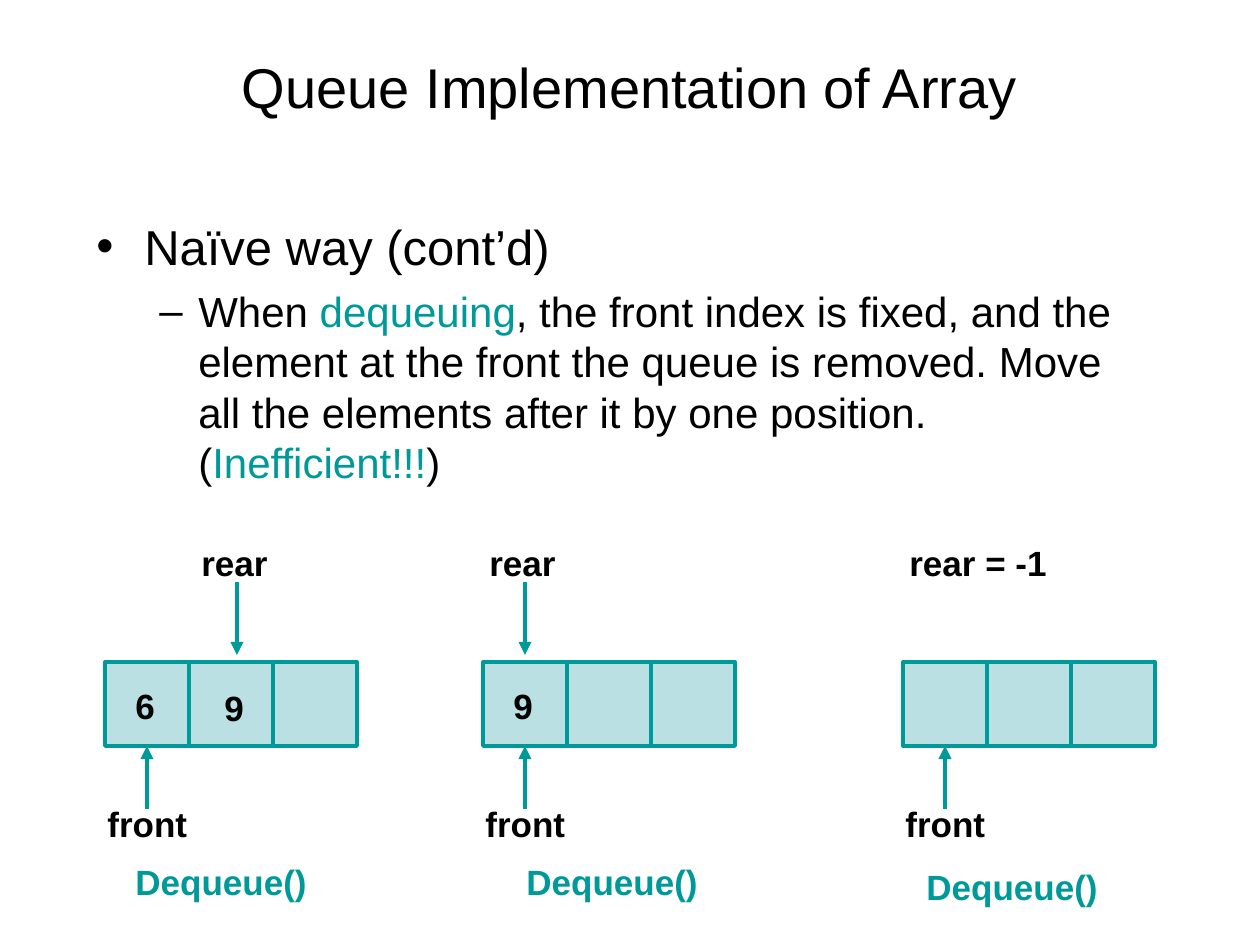
from lxml import etree
from pptx import Presentation
from pptx.dml.color import RGBColor
from pptx.enum.shapes import MSO_CONNECTOR, MSO_SHAPE
from pptx.enum.text import MSO_ANCHOR, MSO_AUTO_SIZE, PP_ALIGN
from pptx.oxml.ns import qn
from pptx.util import Pt

SCALE = 914400 / 126
RECT = MSO_SHAPE.RECTANGLE
LINE = MSO_CONNECTOR.STRAIGHT
GROW = MSO_AUTO_SIZE.SHAPE_TO_FIT_TEXT
FIXED = MSO_AUTO_SIZE.NONE
MIDDLE = MSO_ANCHOR.MIDDLE
CENTER = PP_ALIGN.CENTER
FONT, BLACK, TEAL, PALE = "Arial", "000000", "009999", "BBE0E3"
CELL, TOP = 84, 662
BODY = [
    ("•", 28, 7, 48, 48, [("Naïve way (cont’d)", BLACK)]),
    ("–", 24, 6, 102, 39, [
        ("When ", BLACK),
        ("dequeuing", TEAL),
        (", the front index is fixed, and the element at the front the queue "
         "is removed. Move all the elements after it by one position. (", BLACK),
        ("Inefficient!!!", TEAL),
        (")", BLACK),
    ]),
]
# left, rear mark, rear label, label width, digits, call place
QUEUES = [
    (105, 237, "rear", 136, [("6", 123, 678), ("9", 212, 680)], (123, 854)),
    (483, 525, "rear", 136, [("9", 501, 678)], (514, 854)),
    (903, 945, "rear = -1", 164, [], (914, 859)),
]


def px(num):
    """Turn pixels into EMU."""
    return round(num * SCALE)


def rgb(code):
    """Turn a hex string into a colour."""
    return RGBColor.from_string(code)


def put(item, **vals):
    """Set attributes from format values."""
    for name, val in vals.items():
        setattr(item, name, val)


def add_run(para, text, size, color, bold=False):
    """Add a formatted run to a paragraph."""
    run = para.add_run()
    run.text = text
    put(run.font, name=FONT, size=Pt(size), bold=bold)
    run.font.color.rgb = rgb(color)


def add_title(slide, text):
    """Place and fill the title."""
    title = slide.shapes.title
    put(title, left=px(63), top=px(38), width=px(1134), height=px(97))
    put(title.text_frame, vertical_anchor=MIDDLE, word_wrap=True, auto_size=FIXED)
    para = title.text_frame.paragraphs[0]
    para.alignment = CENTER
    add_run(para, text, 32, BLACK)


def add_bullet(para, mark, left, hang):
    """Give a paragraph its bullet and hanging indent."""
    props = para._p.get_or_add_pPr()
    props.set("marL", str(px(left)))
    props.set("indent", str(-px(hang)))
    tint = etree.SubElement(props, qn("a:buClr"))
    etree.SubElement(tint, qn("a:srgbClr"), val=BLACK)
    etree.SubElement(props, qn("a:buFont"), typeface=FONT)
    etree.SubElement(props, qn("a:buChar"), char=mark)


def add_body(slide):
    """Add the bulleted text."""
    frame = slide.shapes.add_textbox(px(84), px(210), px(1081), px(315)).text_frame
    put(frame, word_wrap=True, auto_size=FIXED)
    for level, (mark, size, gap, left, hang, runs) in enumerate(BODY):
        para = frame.add_paragraph() if level else frame.paragraphs[0]
        put(para, level=level, space_before=Pt(gap))
        add_bullet(para, mark, left, hang)
        for text, color in runs:
            add_run(para, text, size, color)


def add_label(slide, text, left, top, width, color=BLACK):
    """Add a bold label."""
    frame = slide.shapes.add_textbox(px(left), px(top), px(width), px(55)).text_frame
    put(frame, word_wrap=True, auto_size=GROW)
    para = frame.paragraphs[0]
    para.space_before = Pt(12.5)
    add_run(para, text, 20, color, True)


def add_cell(slide, left):
    """Add one array cell."""
    cell = slide.shapes.add_shape(RECT, px(left), px(TOP), px(CELL), px(CELL))
    cell.shadow.inherit = False
    cell.fill.solid()
    cell.fill.fore_color.rgb = rgb(PALE)
    cell.line.color.rgb = rgb(TEAL)
    cell.line.width = Pt(2.25)
    return cell


def add_arrow(slide, mid, start, end):
    """Add an upright arrow."""
    arrow = slide.shapes.add_connector(LINE, px(mid), px(start), px(mid), px(end))
    arrow.line.color.rgb = rgb(TEAL)
    arrow.line.width = Pt(2.5)
    etree.SubElement(arrow.line._get_or_add_ln(), qn("a:tailEnd"), type="triangle")
    etree.SubElement(arrow._element.spPr, qn("a:effectLst"))
    return arrow


def add_queue(slide, left, mark, rear, width, digits, call):
    """Add one queue state with its marks."""
    cells = [add_cell(slide, left + CELL * col) for col in range(3)]
    add_label(slide, "front", left - 10, 796, 136)
    front = add_arrow(slide, left + CELL // 2, 809, TOP + CELL)
    front.end_connect(cells[0], 2)
    add_label(slide, rear, mark - 48, 535, width)
    if rear == "rear":
        add_arrow(slide, mark, 582, 655)
    for text, across, down in digits:
        add_label(slide, text, across, down, 42)
    add_label(slide, "Dequeue()", *call, 243, TEAL)


def main():
    """Build and save the slide."""
    deck = Presentation()
    put(deck, slide_width=px(1260), slide_height=px(945))
    slide = deck.slides.add_slide(deck.slide_layouts[5])
    add_title(slide, "Queue Implementation of Array")
    add_body(slide)
    for queue in QUEUES:
        add_queue(slide, *queue)
    deck.save("out.pptx")


if __name__ == "__main__":
    main()
